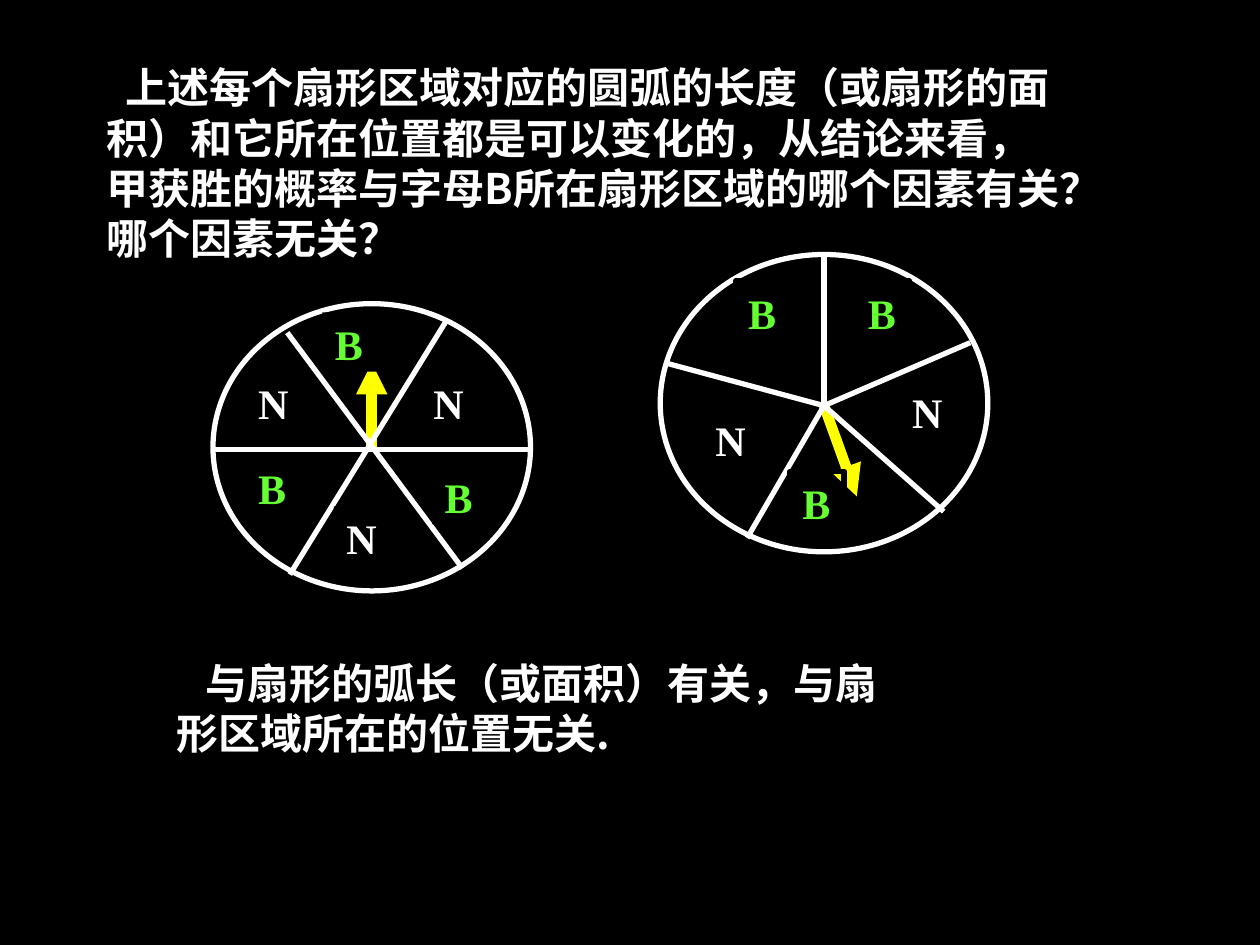
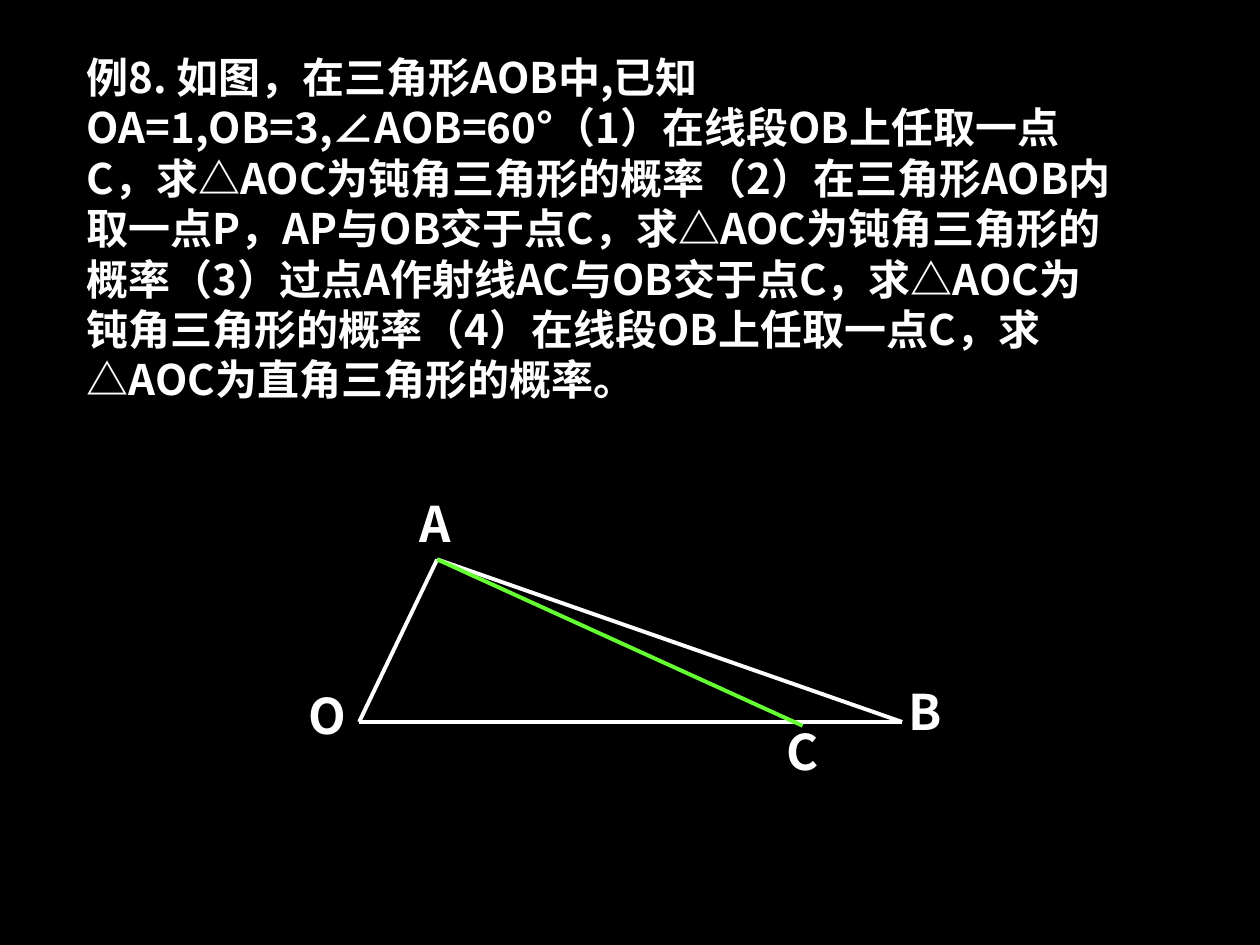
import pptx
import pptx.util
import pptx.dml.color
import pptx.enum.shapes
import pptx.enum.text
import lxml.etree
from dataclasses import dataclass

@dataclass(frozen=True)
class Theme:
    back: str = "000000"
    ink: str = "FFFFFF"
    green: str = "66FF33"
    gold: str = "FFFF00"
    sans: str = "Noto Sans CJK SC"
    serif: str = "Times New Roman"
    body: int = 24
    mark: int = 28
    rim: float = 3
    side: float = 2.25
    hand: float = 6


theme = Theme()
WIDE, HIGH = 10, 7.5
COLS, ROWS = 100, 75

ASK = ("上述每个扇形区域对应的圆弧的长度（或扇形的面积）和它所在位置都是可以变化的，"
       "从结论来看，甲获胜的概率与字母B所在扇形区域的哪个因素有关？哪个因素无关？")
REPLY = "与扇形的弧长（或面积）有关，与扇形区域所在的位置无关."
TASK = ("例8. 如图，在三角形AOB中,已知OA=1,OB=3,∠AOB=60°"
        "（1）在线段OB上任取一点C，求△AOC为钝角三角形的概率"
        "（2）在三角形AOB内取一点P，AP与OB交于点C，求△AOC为钝角三角形的概率"
        "（3）过点A作射线AC与OB交于点C，求△AOC为钝角三角形的概率"
        "（4）在线段OB上任取一点C，求△AOC为直角三角形的概率。")

HUB = (65.4, 32.2)
WHEELS = [
    dict(
        disc=(16.9, 24.1, 25.2, 22.8),
        spokes=[((16.9, 35.7), (42.1, 35.7)),
                ((35.4, 25.5), (23, 45.6)),
                ((22.8, 26.4), (36.7, 45.1))],
        hand=((29.5, 35.7), (29.5, 28.8)),
        tags=[("B", 19.5, 36.2), ("N", 26.5, 40.2), ("B", 25.6, 24.8),
              ("B", 34.3, 36.9), ("N", 33.4, 29.5), ("N", 19.5, 29.5)],
        tall=4.7,
        look=dict(fill=theme.back),
    ),
    dict(
        disc=(52.4, 20.2, 26, 23.6),
        spokes=[(HUB, end) for end in
                [(65.4, 20.2), (52.8, 28.8), (59.3, 42.7),
                 (74.9, 40.6), (77, 27.2)]],
        hand=(HUB, (68, 39.4)),
        tags=[("B", 58.4, 22.3), ("B", 67.9, 22.3), ("B", 62.7, 37.4),
              ("N", 55.8, 32.4), ("N", 71.4, 30.2)],
        tall=5,
        look=dict(edge=theme.back),
    ),
]
TAG_WIDE = {"B": 4.3, "N": 5.2}
TAG_HUE = {"B": theme.green, "N": theme.ink}

POINTS = {"O": (28.5, 57.3), "A": (34.7, 44.4),
          "B": (71.6, 57.3), "C": (63.7, 57.6)}
SIDES = [("OB", theme.ink), ("OA", theme.ink),
         ("AB", theme.ink), ("AC", theme.green)]
MARKS = [("A", 32.3, 38.7), ("B", 71.1, 53.6),
         ("O", 23.5, 53.9), ("C", 61.4, 56.8)]


def col(n):
    return pptx.util.Inches(n * WIDE / COLS)


def row(n):
    return pptx.util.Inches(n * HIGH / ROWS)


def hue(code):
    return pptx.dml.color.RGBColor.from_string(code)


def box(area):
    x, y, w, h = area
    return col(x), row(y), col(w), row(h)


def write(slide, text, area, size=theme.body, face=theme.sans,
          color=theme.ink, fill=None, edge=None, indent=0):
    shape = slide.shapes.add_textbox(*box(area))
    if fill:
        shape.fill.solid()
        shape.fill.fore_color.rgb = hue(fill)
    if edge:
        shape.line.color.rgb = hue(edge)
        shape.line.width = pptx.util.Pt(theme.rim)
    frame = shape.text_frame
    frame.word_wrap = True
    frame.vertical_anchor = pptx.enum.text.MSO_ANCHOR.TOP
    para = frame.paragraphs[0]
    if indent:
        para._p.get_or_add_pPr().set("indent", str(col(indent)))
    run = para.add_run()
    run.text = text
    font = run.font
    font.name, font.bold = face, True
    font.size = pptx.util.Pt(size)
    font.color.rgb = hue(color)
    latin = run._r.rPr.find(pptx.oxml.ns.qn("a:latin"))
    east = lxml.etree.Element(pptx.oxml.ns.qn("a:ea"), typeface=face)
    latin.addnext(east)
    return shape


def draw(slide, start, end, color=theme.ink, width=theme.rim, arrow=False):
    line = slide.shapes.add_connector(
        pptx.enum.shapes.MSO_CONNECTOR.STRAIGHT,
        col(start[0]), row(start[1]), col(end[0]), row(end[1]))
    line.line.color.rgb = hue(color)
    line.line.width = pptx.util.Pt(width)
    qn = pptx.oxml.ns.qn
    if arrow:
        lxml.etree.SubElement(line.line._get_or_add_ln(),
                              qn("a:tailEnd"), type="triangle")
    lxml.etree.SubElement(line._element.spPr, qn("a:effectLst"))


def spin(slide, wheel):
    disc = slide.shapes.add_shape(
        pptx.enum.shapes.MSO_SHAPE.OVAL, *box(wheel["disc"]))
    disc.shadow.inherit = False
    disc.fill.solid()
    disc.fill.fore_color.rgb = hue(theme.back)
    disc.line.color.rgb = hue(theme.ink)
    disc.line.width = pptx.util.Pt(theme.rim)
    draw(slide, *wheel["hand"], color=theme.gold, width=theme.hand, arrow=True)
    for start, end in wheel["spokes"]:
        draw(slide, start, end)
    for tag, x, y in wheel["tags"]:
        write(slide, tag, (x, y, TAG_WIDE[tag], wheel["tall"]),
              face=theme.serif, color=TAG_HUE[tag], **wheel["look"])


def page(deck):
    slide = deck.slides.add_slide(deck.slide_layouts[6])
    back = slide.background.fill
    back.solid()
    back.fore_color.rgb = hue(theme.back)
    return slide


def main():
    deck = pptx.Presentation()
    deck.slide_width = pptx.util.Inches(WIDE)
    deck.slide_height = pptx.util.Inches(HIGH)

    slide = page(deck)
    write(slide, ASK, (7.5, 4.4, 78.4, 17), indent=1.5)
    write(slide, REPLY, (13, 51.7, 59.8, 9), indent=2.3)
    for wheel in WHEELS:
        spin(slide, wheel)

    slide = page(deck)
    write(slide, TASK, (5.9, 3.6, 83.5, 29))
    for (start, end), color in SIDES:
        draw(slide, POINTS[start], POINTS[end], color, theme.side)
    for mark, x, y in MARKS:
        write(slide, mark, (x, y, 7, 6.4), size=theme.mark)

    deck.save("out.pptx")


if __name__ == "__main__":
    main()
